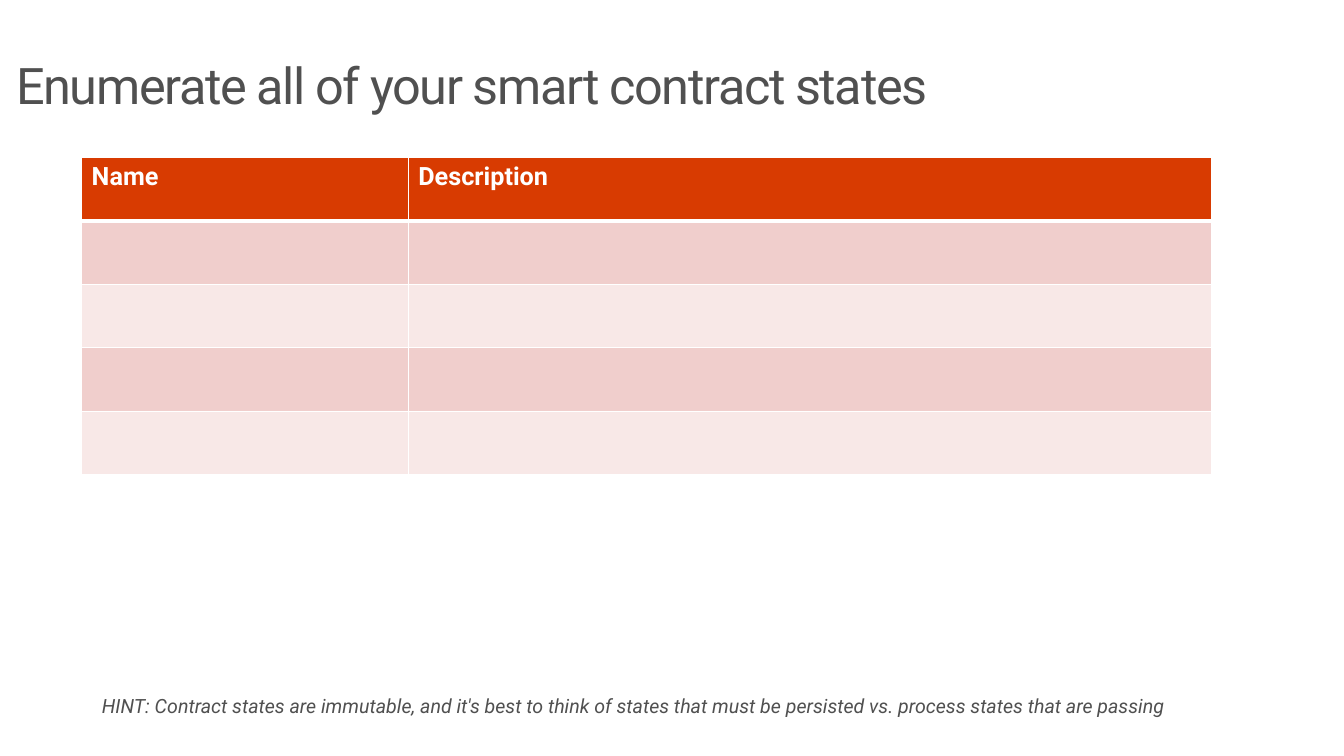
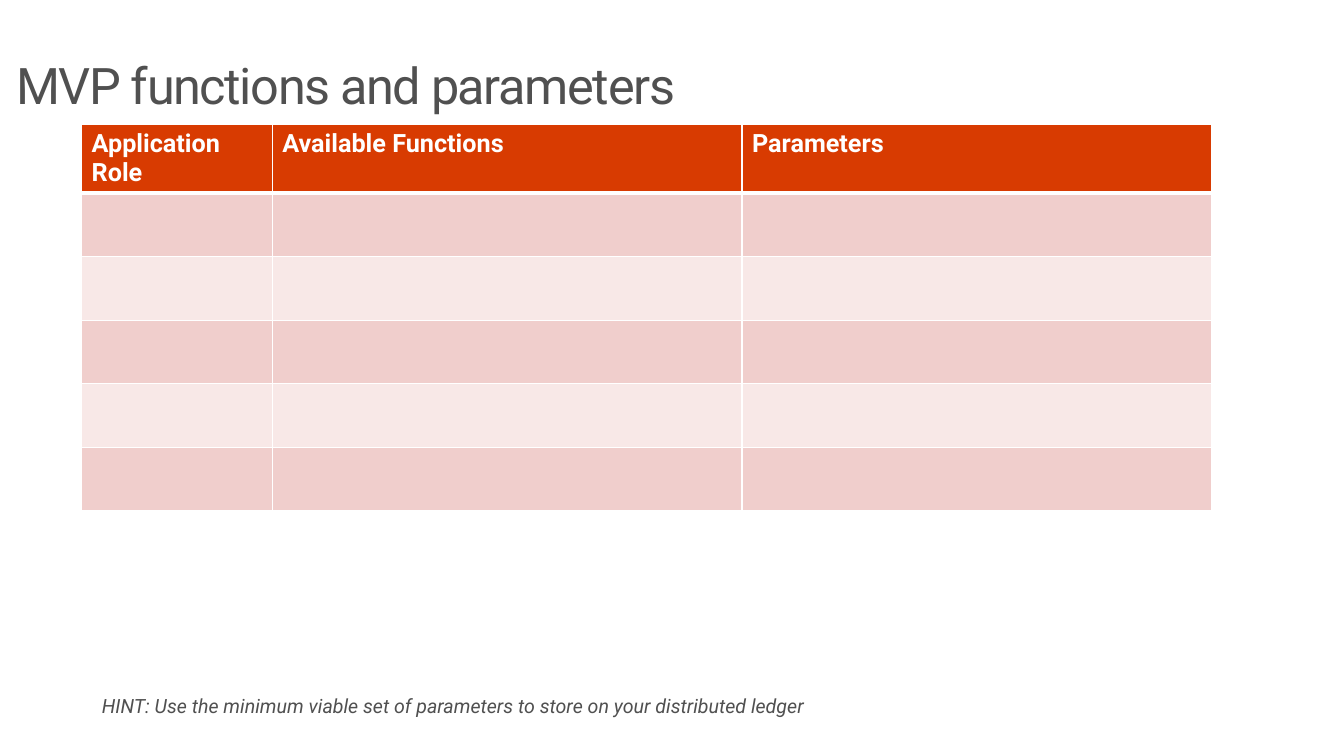
"""Build two smart contract worksheet slides with a title, a table and a hint."""
from lxml.etree import SubElement
from pptx import Presentation
from pptx.dml.color import RGBColor
from pptx.enum.text import MSO_ANCHOR as ANCHOR, MSO_AUTO_SIZE as AUTO, PP_ALIGN as ALIGN
from pptx.oxml import parse_xml
from pptx.oxml.ns import nsdecls
from pptx.util import Pt

PX = 9144
FONT = "Roboto"
GREY, WHITE, HEADER = "505050", "FFFFFF", "D83B01"
BANDS = ["F8E8E7", "F0CECC"]
LEFT, WIDTH, ROW = 81, 1121, 63

SLIDES = [
    dict(title="Enumerate all of your smart contract states",
         top=156, cols=[324, 797], heads=["Name", "Description"], body_rows=4,
         hint="HINT: Contract states are immutable, and it's best to think of states "
              "that must be persisted vs. process states that are passing"),
    dict(title="MVP functions and parameters",
         top=123, cols=[189, 466, 466],
         heads=["Application Role", "Available Functions", "Parameters"], body_rows=5,
         hint="HINT: Use the minimum viable set of parameters to store on your "
              "distributed ledger"),
]


def write(tf, text, size, color, bold=False, italic=False, line=None, after=0,
          spacing=None, inset=None):
    tf.word_wrap = True
    if inset:
        tf.margin_left = tf.margin_right = inset[0] * PX
        tf.margin_top = tf.margin_bottom = inset[1] * PX
    p = tf.paragraphs[0]
    p.alignment = ALIGN.LEFT
    p.line_spacing = line
    p.space_after = Pt(after)
    r = p.add_run()
    r.text = text
    r.font.name, r.font.size = FONT, Pt(size)
    r.font.bold, r.font.italic = bold, italic
    r.font.color.rgb = RGBColor.from_string(color)
    if spacing:
        r.font._element.set("spc", str(spacing * 100))


def style_cell(cell, fill, top, bottom):
    cell.fill.solid()
    cell.fill.fore_color.rgb = RGBColor.from_string(fill)
    tc_pr = cell._tc.get_or_add_tcPr()
    for i, (side, width) in enumerate([("L", 1), ("R", 1), ("T", top), ("B", bottom)]):
        ln = parse_xml(f'<a:ln{side} {nsdecls("a")} w="{Pt(width)}"><a:solidFill>'
                       f'<a:srgbClr val="{WHITE}"/></a:solidFill></a:ln{side}>')
        tc_pr.insert(i, ln)


prs = Presentation()
prs.slide_width, prs.slide_height = 1333 * PX, 750 * PX

for data in SLIDES:
    s = prs.slides.add_slide(prs.slide_layouts[5])

    title = s.shapes.title
    title.left, title.top, title.width, title.height = 0, 50 * PX, 1333 * PX, 182 * PX
    tf = title.text_frame
    tf.auto_size = AUTO.NONE
    tf.vertical_anchor = ANCHOR.TOP
    write(tf, data["title"], 36, GREY, line=0.9, spacing=-1, inset=(16, 10))

    rows = data["body_rows"] + 1
    table = s.shapes.add_table(rows, len(data["cols"]), LEFT * PX, data["top"] * PX,
                               WIDTH * PX, rows * ROW * PX).table
    for col, width in zip(table.columns, data["cols"]):
        col.width = width * PX
    for i, row in enumerate(table.rows):
        row.height = ROW * PX
        for cell in row.cells:
            style_cell(cell, BANDS[i % 2] if i else HEADER,
                       top=3 if i == 1 else 1, bottom=1 if i else 3)
    for cell, head in zip(table.rows[0].cells, data["heads"]):
        write(cell.text_frame, head, 18, WHITE, bold=True)

    sp = s.shapes.add_textbox(LEFT * PX, 681 * PX, WIDTH * PX, 54 * PX)
    sp.text_frame.auto_size = AUTO.SHAPE_TO_FIT_TEXT
    write(sp.text_frame, data["hint"], 14, GREY, italic=True, line=0.9, after=6,
          inset=(20, 16))

prs.save("out.pptx")
